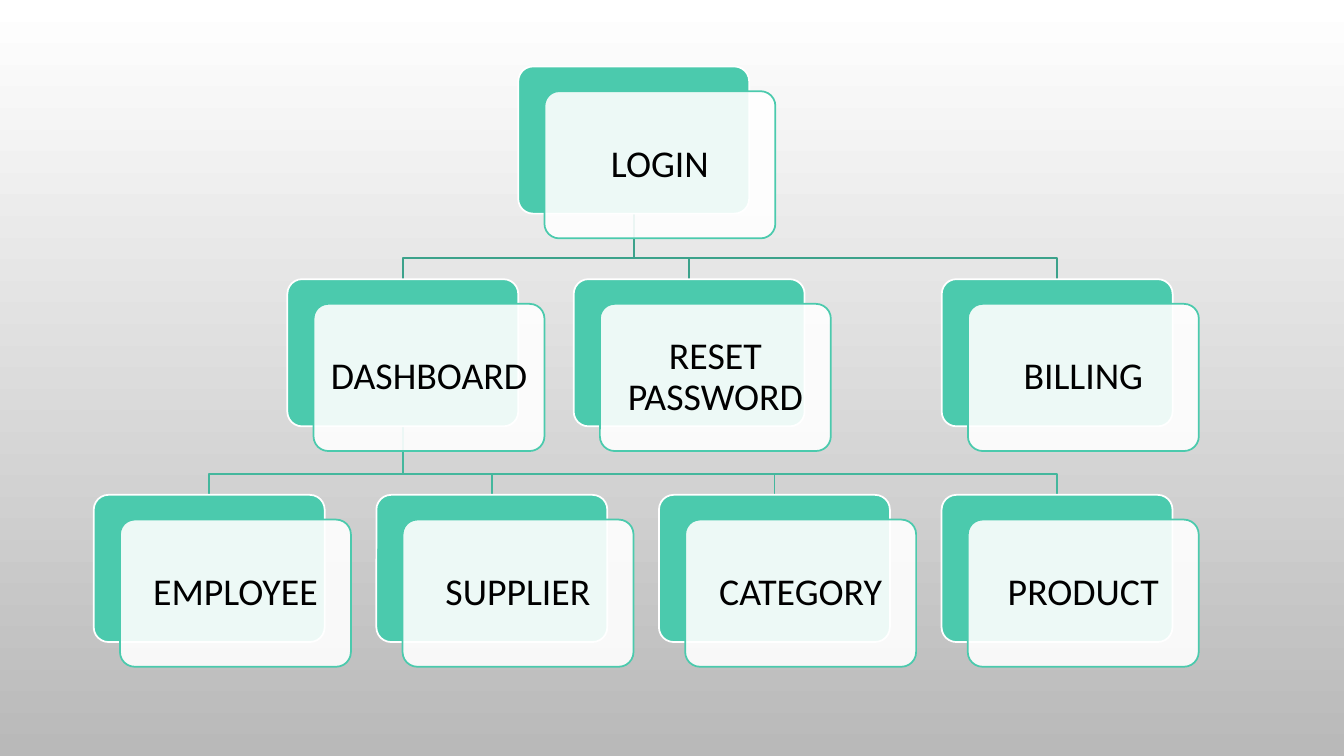
from lxml import etree
from pptx import Presentation
from pptx.dml.color import RGBColor
from pptx.enum.shapes import MSO_SHAPE
from pptx.enum.text import MSO_ANCHOR, PP_ALIGN
from pptx.oxml.ns import qn
from pptx.util import Inches, Pt

WHITE = RGBColor(0xFF, 0xFF, 0xFF)
GREY = RGBColor(0xB9, 0xB9, 0xB9)
BLACK = RGBColor(0x00, 0x00, 0x00)
MINT = RGBColor(0x4B, 0xCA, 0xAD)
UPPER_LINE = RGBColor(0x3C, 0xA2, 0x8B)
LOWER_LINE = RGBColor(0x44, 0xB7, 0x9D)

BOX_W, BOX_H = 2.29, 1.46
CARD_DX, CARD_DY = 0.26, 0.245
BEND_RISE = 0.21  # height of a branch line above the child box
LEVEL_TOPS = [0.66, 2.77, 4.91]
LEAF_LEFT, LEAF_STEP = 0.93, 2.803
LEAVES = ["EMPLOYEE", "SUPPLIER", "CATEGORY", "PRODUCT"]

# name: (left, level)
boxes = {
    "LOGIN": (5.14, 0),
    "DASHBOARD": (2.85, 1),
    "RESET PASSWORD": (5.69, 1),
    "BILLING": (9.34, 1),
}
for i, name in enumerate(LEAVES):
    boxes[name] = (LEAF_LEFT + i * LEAF_STEP, 2)

branches = [
    ("LOGIN", ["DASHBOARD", "RESET PASSWORD", "BILLING"], UPPER_LINE),
    ("DASHBOARD", LEAVES, LOWER_LINE),
]


def add_box(left, top, fill, line):
    sp = slide.shapes.add_shape(MSO_SHAPE.ROUNDED_RECTANGLE, Inches(left), Inches(top),
                                Inches(BOX_W), Inches(BOX_H))
    sp.adjustments[0] = 0.1
    sp.shadow.inherit = False
    sp.fill.solid()
    sp.fill.fore_color.rgb = fill
    sp.line.color.rgb = line
    sp.line.width = Pt(1.25)
    return sp


prs = Presentation()
prs.slide_width, prs.slide_height = Inches(13.33), Inches(7.5)
slide = prs.slides.add_slide(prs.slide_layouts[6])

bg = slide.background.fill
bg.gradient()
bg.gradient_angle = 270
for stop, color in zip(bg.gradient_stops, (WHITE, GREY)):
    stop.color.rgb = color

# Branch lines, behind the boxes
for parent, children, color in branches:
    left, level = boxes[parent]
    x0, y0 = left + BOX_W / 2, LEVEL_TOPS[level] + BOX_H
    for child in children:
        left, level = boxes[child]
        x1, y1 = left + BOX_W / 2, LEVEL_TOPS[level]
        bend = y1 - BEND_RISE
        builder = slide.shapes.build_freeform(Inches(x0), Inches(y0))
        builder.add_line_segments([(Inches(x), Inches(y)) for x, y in
                                   ((x0, bend), (x1, bend), (x1, y1))], close=False)
        sp = builder.convert_to_shape()
        sp.shadow.inherit = False
        sp.fill.background()
        sp.line.color.rgb = color
        sp.line.width = Pt(1.25)

# Mint boxes with a translucent, labelled card in front
for name, (left, level) in boxes.items():
    top = LEVEL_TOPS[level]
    add_box(left, top, MINT, WHITE)
    card = add_box(left + CARD_DX, top + CARD_DY, WHITE, MINT)
    clr = card.fill._xPr.find(qn("a:solidFill")).find(qn("a:srgbClr"))
    etree.SubElement(clr, qn("a:alpha")).set("val", "90000")

    tf = card.text_frame
    tf.word_wrap = True
    tf.vertical_anchor = MSO_ANCHOR.MIDDLE
    tf.margin_left = tf.margin_right = tf.margin_top = tf.margin_bottom = Inches(0.11)
    p = tf.paragraphs[0]
    p.alignment = PP_ALIGN.CENTER
    p.line_spacing = 0.9
    r = p.add_run()
    r.text = name
    r.font.name = "Calibri"
    r.font.size = Pt(27)
    r.font.color.rgb = BLACK

prs.save("out.pptx")
